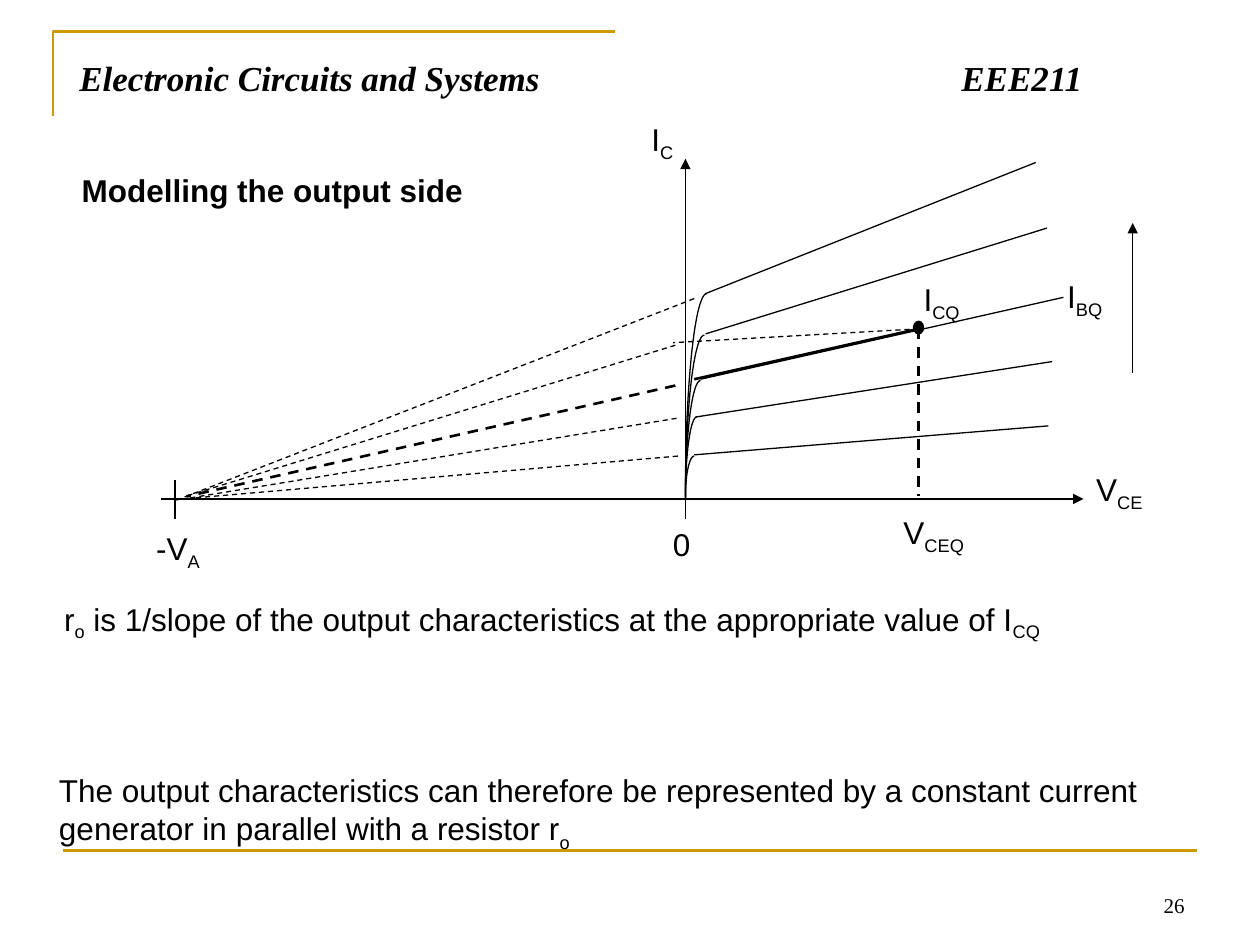
from math import cos, pi, sin

from lxml import etree
from pptx import Presentation
from pptx.dml.color import RGBColor
from pptx.enum.dml import MSO_LINE
from pptx.enum.shapes import MSO_CONNECTOR, MSO_SHAPE
from pptx.enum.text import MSO_ANCHOR, PP_ALIGN
from pptx.oxml.ns import qn
from pptx.util import Inches, Pt

STRAIGHT = MSO_CONNECTOR.STRAIGHT
ELLIPSE = MSO_SHAPE.OVAL
DASH = MSO_LINE.DASH
TOP, MIDDLE, BOTTOM = MSO_ANCHOR.TOP, MSO_ANCHOR.MIDDLE, MSO_ANCHOR.BOTTOM
LEFT, RIGHT = PP_ALIGN.LEFT, PP_ALIGN.RIGHT

BLACK, GOLD = "000000", "CC9900"
THIN, THICK = 0.75, 1.5
COLS, ROWS = 100, 75
SLIDE_W, SLIDE_H = Inches(10), Inches(7.5)

ORIGIN_X, AXIS_Y = 54.4, 39.6
VA_X = 13.9
Q_X, Q_Y = 72.9, 26.1

KNEES = [
    (56.1, 23.3, 39.4),
    (55.9, 26.6, 39.7),
    (55.6, 30.2, 39.6),
    (55.3, 33.1, 39.5),
    (55.1, 36.2, 39.5),
]
ACTIVE_LINES = [
    (56, 23.3, 82.2, 12.9),
    (56, 26.5, 83.1, 18.1),
    (55.6, 30.1, 84.4, 23.6),
    (55.2, 33.1, 83.5, 28.7),
    (55.1, 36.1, 83.2, 33.8),
]
EXTENSIONS = [
    (55.1, 23.7, 14, 39.7, THIN),
    (53.6, 27.4, 14.7, 39.4, THIN),
    (53.6, 30.6, 14.8, 39.4, THICK),
    (53.7, 33.2, 14.6, 39.6, THIN),
    (53.8, 36.2, 14.5, 39.6, THIN),
]
LABELS = [
    ("-V|A", 11.7, 41.7, 6.7),
    ("0", 52.7, 41.4, 4.1),
    ("I|C", 51, 9.2, 4.1),
    ("V|CE", 86.3, 37, 5.7),
    ("V|CEQ", 71, 40.4, 7.5),
    ("I|CQ", 72.6, 21.9, 7.5),
    ("I|BQ", 84, 21.7, 4.9),
]


def col(n):
    return round(SLIDE_W * n / COLS)


def row(n):
    return round(SLIDE_H * n / ROWS)


def rgb(value):
    return RGBColor.from_string(value)


def set_line(sp, color, width, dash=None):
    sp.line.color.rgb = rgb(color)
    sp.line.width = Pt(width)
    if dash:
        sp.line.dash_style = dash


def add_line(s, x1, y1, x2, y2, color=BLACK, width=THIN, dash=None, arrow=False):
    sp = s.shapes.add_connector(STRAIGHT, col(x1), row(y1), col(x2), row(y2))
    set_line(sp, color, width, dash)
    if arrow:
        etree.SubElement(sp.line._get_or_add_ln(), qn("a:tailEnd"), type="triangle")
    etree.SubElement(sp._element.spPr, qn("a:effectLst"))


def add_path(s, points, color=BLACK, width=THIN):
    points = [(col(x), row(y)) for x, y in points]
    builder = s.shapes.build_freeform(*points[0])
    builder.add_line_segments(points[1:], close=False)
    sp = builder.convert_to_shape()
    sp.fill.background()
    sp.shadow.inherit = False
    set_line(sp, color, width)


def add_knee(s, x, y, base, steps=24):
    angles = [pi / 2 * i / steps for i in range(steps + 1)]
    add_path(s, [(x - (x - ORIGIN_X) * sin(a), base - (base - y) * cos(a))
                 for a in angles])


def write(sp, text, size=18, font="Arial", bold=False, italic=False,
          anchor=TOP, align=LEFT, insets=(0.1, 0.05), tab=None, drop=-25):
    tf = sp.text_frame
    tf.word_wrap = True
    tf.vertical_anchor = anchor
    tf.margin_left = tf.margin_right = Inches(insets[0])
    tf.margin_top = tf.margin_bottom = Inches(insets[1])
    p = tf.paragraphs[0]
    p.alignment = align
    if tab:
        tabs = etree.SubElement(p._p.get_or_add_pPr(), qn("a:tabLst"))
        etree.SubElement(tabs, qn("a:tab"), pos=str(col(tab)), algn="l")
    for i, part in enumerate(text.split("|")):
        r = p.add_run()
        r.text = part
        r.font.size = Pt(size)
        r.font.name = font
        r.font.bold = bold
        r.font.italic = italic
        r.font.color.rgb = rgb(BLACK)
        if i % 2:
            r._r.get_or_add_rPr().set("baseline", str(drop * 1000))


def add_text(s, text, x, y, w, h, **style):
    write(s.shapes.add_textbox(col(x), row(y), col(w), row(h)), text, **style)


def add_frame(s):
    add_path(s, [(4.2, 9.2), (4.2, 2.5), (48.8, 2.5)], GOLD, THICK)
    add_line(s, 5, 67.5, 95, 67.5, GOLD, THICK)
    add_text(s, "26", 71.7, 68.3, 23.3, 5, size=12, font="Times New Roman",
             anchor=BOTTOM, align=RIGHT)


def add_title(s):
    sp = s.shapes.title
    sp.left, sp.top, sp.width, sp.height = col(5.3), row(4), col(89.2), row(6.1)
    write(sp, "Electronic Circuits and Systems\tEEE211", size=20,
          font="Times New Roman", bold=True, italic=True, tab=70)


def add_characteristics(s):
    add_line(s, ORIGIN_X, 41.2, ORIGIN_X, 12.6, arrow=True)
    add_line(s, 12.8, AXIS_Y, 86, AXIS_Y, arrow=True)
    add_line(s, VA_X, 38.1, VA_X, 41.2)
    for x1, y1, x2, y2, width in EXTENSIONS:
        add_line(s, x1, y1, x2, y2, width=width, dash=DASH)
    for knee in KNEES:
        add_knee(s, *knee)
    for ends in ACTIVE_LINES:
        add_line(s, *ends)
    add_line(s, 89.9, 29.6, 89.9, 17.7, arrow=True)


def add_operating_point(s):
    add_line(s, Q_X, Q_Y, Q_X, 39.4, width=THICK, dash=DASH)
    add_line(s, Q_X, Q_Y, 53.4, 27.2, dash=DASH)
    add_line(s, Q_X, Q_Y, 55.1, 30.1, width=THICK)
    add_line(s, VA_X, AXIS_Y, Q_X, AXIS_Y, width=THICK)
    sp = s.shapes.add_shape(ELLIPSE, col(72.5), row(25.5), col(0.8), row(1))
    sp.shadow.inherit = False
    sp.fill.solid()
    sp.fill.fore_color.rgb = rgb(BLACK)
    set_line(sp, BLACK, THIN)


def main():
    prs = Presentation()
    prs.slide_width, prs.slide_height = SLIDE_W, SLIDE_H
    s = prs.slides.add_slide(prs.slide_layouts[5])
    add_frame(s)
    add_title(s)
    add_text(s, "Modelling the output side", 5.5, 11.5, 85.9, 7.1,
             bold=True, anchor=MIDDLE)
    add_characteristics(s)
    add_operating_point(s)
    for text, x, y, w in LABELS:
        add_text(s, text, x, y, w, 3.7, insets=(0.07, 0.03))
    add_text(s, "r|o| is 1/slope of the output characteristics at the "
             "appropriate value of I|CQ", 4.1, 47.1, 85.2, 4)
    add_text(s, "The output characteristics can therefore be represented by a "
             "constant current generator in parallel with a resistor r|o",
             3.7, 60.7, 90.3, 10.1, drop=-30)
    prs.save("out.pptx")


if __name__ == "__main__":
    main()
